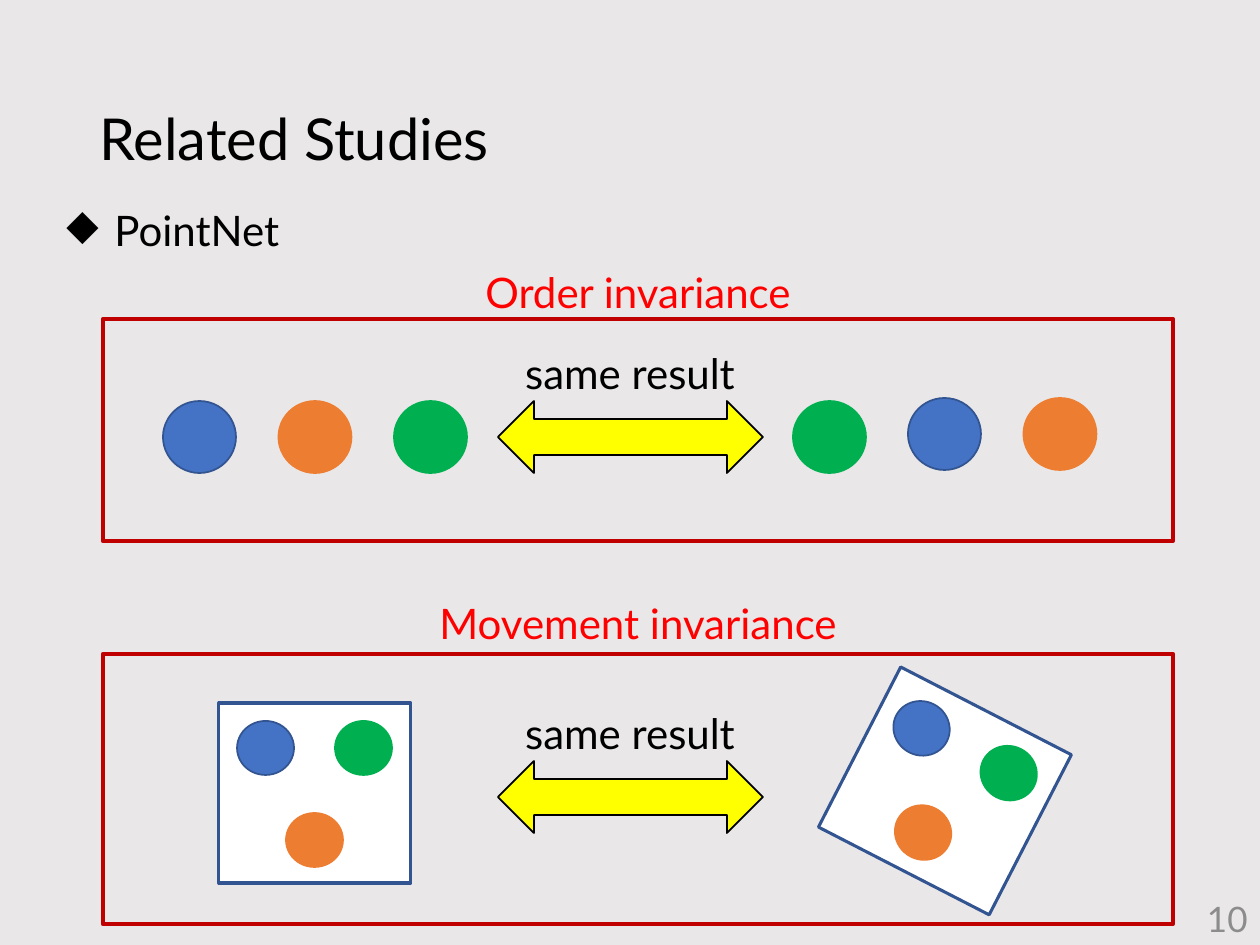
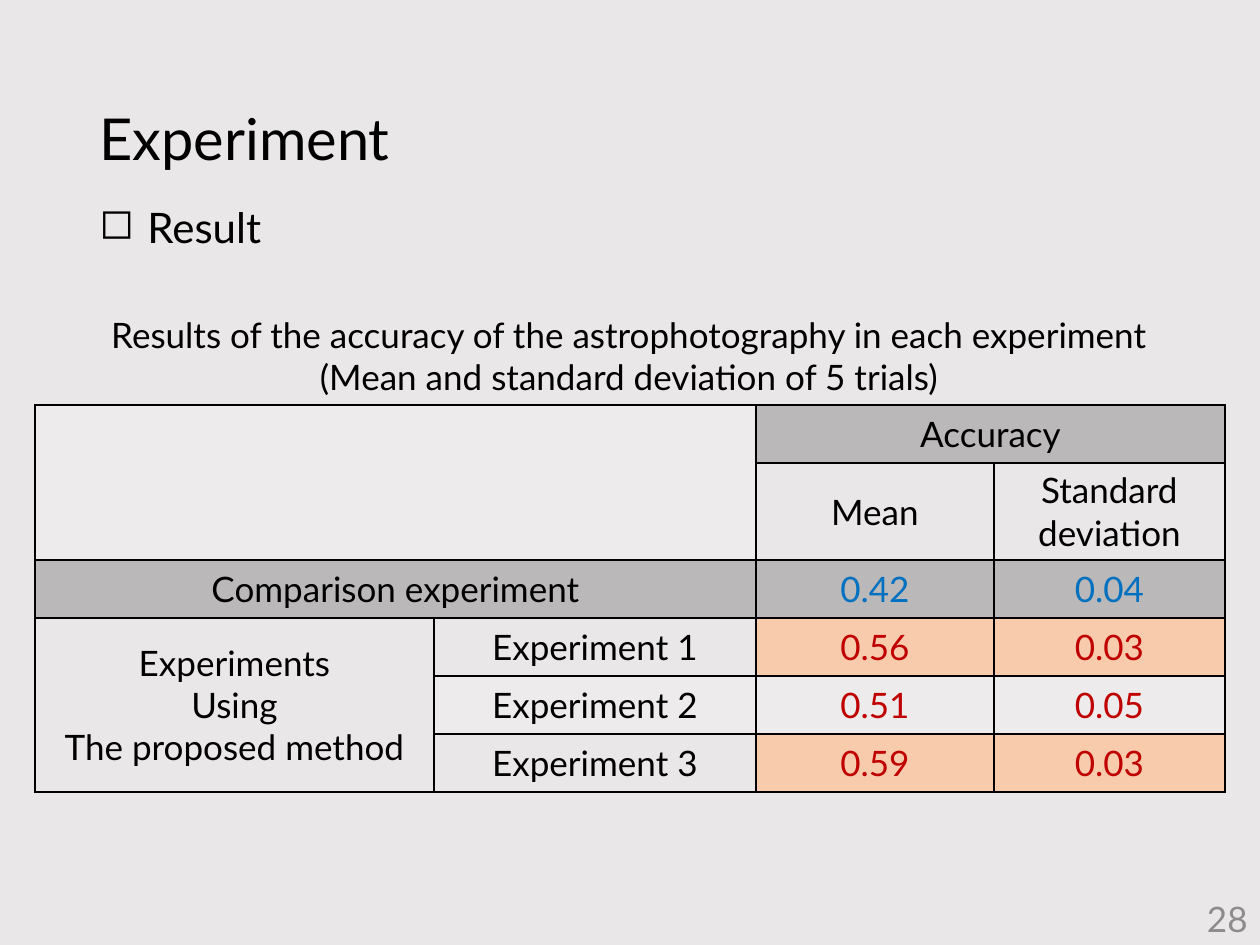
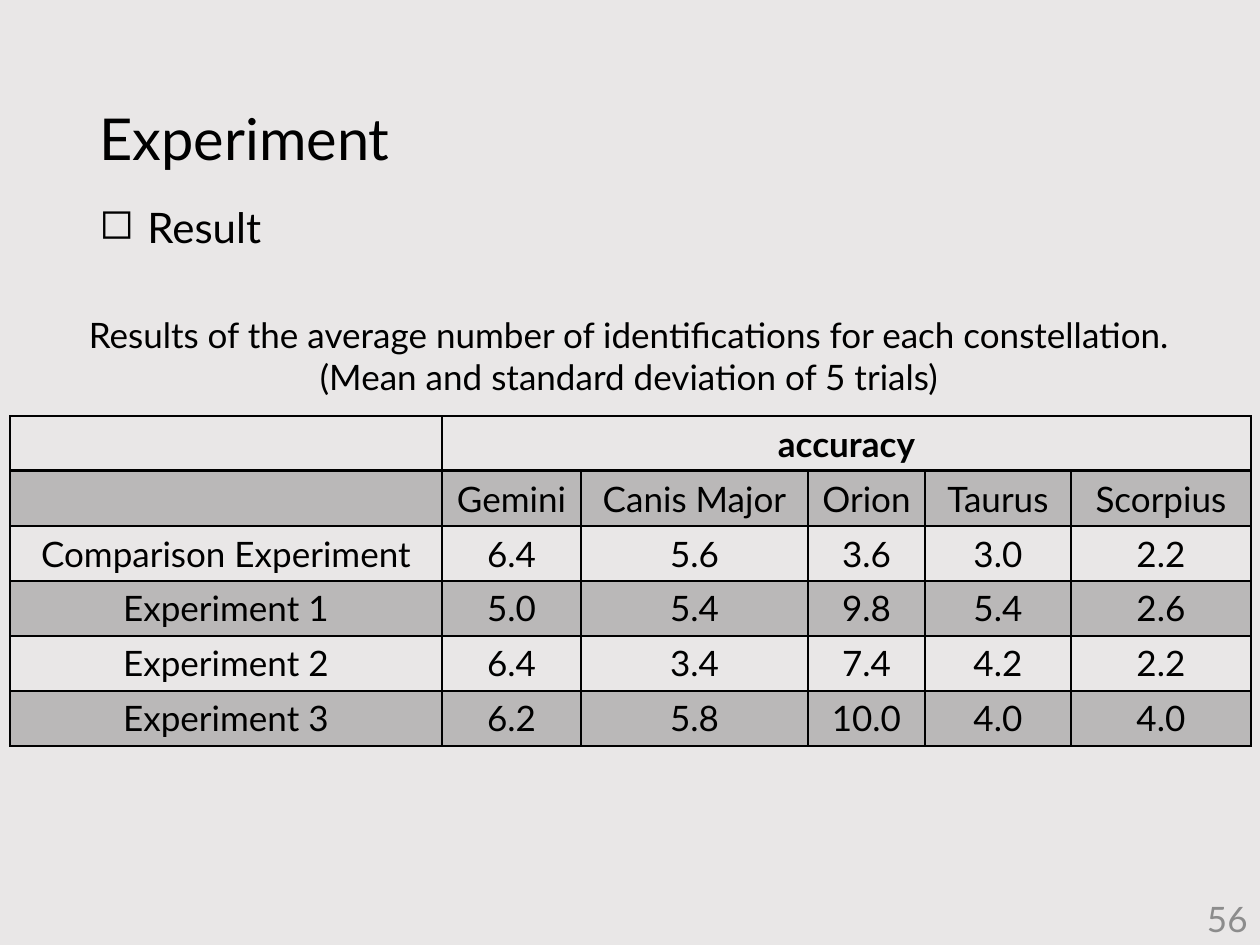
"""Builds three slides: invariance diagrams and two result tables."""
from lxml import etree
from pptx import Presentation
from pptx import util as u
from pptx.dml.color import RGBColor
from pptx.enum import shapes, text
from pptx.oxml import ns

SCALE = 914400 / 126
FONT = "Lato"
COLORS = {
    "background": "E9E7E7", "black": "000000", "white": "FFFFFF",
    "blue": "4472C4", "outline": "325491", "orange": "ED7D31",
    "green": "00B050", "yellow": "FFFF00", "frame": "C00000",
    "heading": "FF0000", "number": "8C8C8C", "baseline": "0070C0",
    "peach": "F8CBAD",
}
SHADE = ("black", 20)
TINT = ("white", 20)
PEACH = ("peach", 100)
CENTER = text.PP_ALIGN.CENTER
MIDDLE = text.MSO_ANCHOR.MIDDLE


def px(length):
    """Turn px into EMU."""
    return u.Emu(round(length * SCALE))


def rgb(name):
    """Look up a named colour."""
    return RGBColor.from_string(COLORS[name])


def write_text(frame, content, size=20, color="black", bold=False,
               align=None, spacing=None, bullet=None):
    """Write each line of the content as a formatted paragraph."""
    frame.word_wrap = True
    for index, line in enumerate(content.split("\n")):
        paragraph = frame.add_paragraph() if index else frame.paragraphs[0]
        paragraph.alignment = align
        paragraph.line_spacing = spacing
        run = paragraph.add_run()
        run.text = line
        run.font.name = FONT
        run.font.size = u.Pt(size)
        run.font.bold = bold
        run.font.color.rgb = rgb(color)
        if bullet:
            properties = paragraph._p.get_or_add_pPr()
            properties.set("marL", str(px(48)))
            properties.set("indent", str(-px(48)))
            etree.SubElement(properties, ns.qn("a:buChar")).set("char", bullet)


def add_text(container, box, content, anchor=text.MSO_ANCHOR.TOP, **style):
    """Add a text box."""
    frame = container.shapes.add_textbox(*map(px, box)).text_frame
    frame.vertical_anchor = anchor
    write_text(frame, content, **style)


def add_shape(container, kind, box, fill, line, width=1):
    """Add a preset shape with fill and outline."""
    shape = container.shapes.add_shape(kind, *map(px, box))
    shape.shadow.inherit = False
    if fill:
        shape.fill.solid()
        shape.fill.fore_color.rgb = rgb(fill)
    else:
        shape.fill.background()
    shape.line.color.rgb = rgb(line)
    shape.line.width = u.Pt(width)


def add_point(container, box, color):
    """Add one point of a point set."""
    line = "outline" if color == "blue" else color
    add_shape(container, shapes.MSO_SHAPE.OVAL, box, color, line)


def add_point_row(slide, left, top, colors):
    """Add points side by side at equal steps."""
    for index, color in enumerate(colors):
        add_point(slide, (left + 115.5 * index, top, 73, 72), color)


def add_panel(slide, left, top, rotation=0):
    """Add a white panel holding three points."""
    group = slide.shapes.add_group_shape()
    add_shape(group, shapes.MSO_SHAPE.RECTANGLE, (left, top, 192, 180),
              "white", "outline", 1.75)
    for color, x, y in (("blue", 18, 18), ("orange", 67, 110), ("green", 116, 18)):
        add_point(group, (left + x, top + y, 57, 54), color)
    group.rotation = rotation


def add_invariance(slide, box, heading, heading_width, heading_rise, arrow_drop):
    """Add a framed region with its heading and labelled double arrow."""
    left, top, width, _ = box
    add_shape(slide, shapes.MSO_SHAPE.RECTANGLE, box, None, "frame", 2.5)
    heading_left = left + (width - heading_width) / 2
    add_text(slide, (heading_left, top - heading_rise, heading_width, 63),
             heading, size=24, color="heading", align=CENTER)
    group = slide.shapes.add_group_shape()
    arrow_top = top + arrow_drop
    add_shape(group, shapes.MSO_SHAPE.LEFT_RIGHT_ARROW,
              (left + 395, arrow_top, 265, 72), "yellow", "black")
    add_text(group, (left + 343, arrow_top - 60, 368, 63), "same result",
             size=24, align=CENTER)


def set_cell_fill(cell, fill):
    """Fill a cell with a colour at a given opacity."""
    if fill is None:
        cell.fill.background()
        return
    color, opacity = fill
    cell.fill.solid()
    cell.fill.fore_color.rgb = rgb(color)
    if opacity < 100:
        node = cell._tc.tcPr.find(".//" + ns.qn("a:srgbClr"))
        etree.SubElement(node, ns.qn("a:alpha")).set("val", str(opacity * 1000))


def set_cell_borders(cell, top, bottom):
    """Draw black borders on all sides of a cell."""
    properties = cell._tc.get_or_add_tcPr()
    sides = (("lnL", 1), ("lnR", 1), ("lnT", top), ("lnB", bottom))
    for index, (side, width) in enumerate(sides):
        line = etree.Element(ns.qn("a:" + side), w=str(u.Pt(width)))
        fill = etree.SubElement(line, ns.qn("a:solidFill"))
        etree.SubElement(fill, ns.qn("a:srgbClr")).set("val", COLORS["black"])
        properties.insert(index, line)


def add_table(slide, origin, widths, heights, rows, spans, style, heavy_rule=None):
    """Add a bordered table; style gives fill and text format by row and column."""
    box = (*origin, sum(widths), sum(heights))
    table = slide.shapes.add_table(len(rows), len(widths), *map(px, box)).table
    table.first_row = table.horz_banding = False
    for column, width in zip(table.columns, widths):
        column.width = px(width)
    for row, height in zip(table.rows, heights):
        row.height = px(height)
    for r, values in enumerate(rows):
        for c, value in enumerate(values):
            cell = table.cell(r, c)
            fill, text_style = style(r, c)
            cell.vertical_anchor = MIDDLE
            set_cell_fill(cell, fill)
            set_cell_borders(cell, 2 if r == heavy_rule else 1,
                             2 if r + 1 == heavy_rule else 1)
            if value:
                write_text(cell.text_frame, value, align=CENTER, **text_style)
    for first, last in spans:
        table.cell(*first).merge(table.cell(*last))


def add_base(presentation, title, number, bullet, item, item_origin):
    """Add a slide with background, title, bullet line and page number."""
    slide = presentation.slides.add_slide(presentation.slide_layouts[6])
    slide.background.fill.solid()
    slide.background.fill.fore_color.rgb = rgb("background")
    add_text(slide, (87, 50, 1086, 183), title, anchor=MIDDLE, size=33, spacing=0.9)
    add_text(slide, (*item_origin, 1168, 63), item, size=24, bullet=bullet)
    add_text(slide, (977, 894, 283, 50), number, anchor=MIDDLE,
             color="number", align=text.PP_ALIGN.RIGHT)
    return slide


def add_result_base(presentation, number, caption):
    """Add a result slide with its two-line table caption."""
    slide = add_base(presentation, "Experiment", number, "◻", "Result", (87, 195))
    add_text(slide, (45, 307, 1168, 97),
             caption + "\n(Mean and standard deviation of 5 trials)", align=CENTER)
    return slide


def add_related_studies(presentation):
    """Add the slide on order and movement invariance."""
    slide = add_base(presentation, "Related Studies", "10", "◆", "PointNet", (54, 198))
    add_invariance(slide, (103, 319, 1070, 222), "Order invariance", 368, 59, 82)
    add_point_row(slide, 163, 401, ("blue", "orange", "green"))
    add_point_row(slide, 793, 401, ("green",))
    add_point_row(slide, 908, 398, ("blue", "orange"))
    add_invariance(slide, (103, 654, 1070, 270), "Movement invariance", 430, 63, 107)
    add_panel(slide, 219, 703)
    add_panel(slide, 849, 701, 27.2)


def accuracy_style(row, column):
    """Give fill and text format of a cell in the accuracy table."""
    color = "black"
    if column > 1 and row > 1:
        color = "baseline" if row == 2 else "frame"
    fill = None
    if row == 2 or (row == 0 and column > 1):
        fill = SHADE
    elif (row == 0 and column < 2) or (row == 4 and column > 0):
        fill = TINT
    elif row in (3, 5) and column > 1:
        fill = PEACH
    return fill, {"color": color}


def add_accuracy(presentation):
    """Add the slide with mean accuracy and deviation."""
    slide = add_result_base(
        presentation, "28",
        "Results of the accuracy of the astrophotography in each experiment")
    rows = (
        ("", "", "Accuracy", ""),
        ("", "", "Mean", "Standard\ndeviation"),
        ("Comparison experiment", "", "0.42", "0.04"),
        ("Experiments\nUsing\nThe proposed method", "Experiment 1", "0.56", "0.03"),
        ("", "Experiment 2", "0.51", "0.05"),
        ("", "Experiment 3", "0.59", "0.03"),
    )
    spans = (((0, 0), (1, 1)), ((0, 2), (0, 3)), ((2, 0), (2, 1)), ((3, 0), (5, 0)))
    add_table(slide, (35, 405), (399, 322, 238, 231), (58, 97, 58, 58, 58, 58),
              rows, spans, accuracy_style)


def constellation_style(row, column):
    """Give fill and text format of a cell in the constellation table."""
    return (SHADE if row % 2 else None), {"bold": row == 0}


def add_constellations(presentation):
    """Add the slide with identifications for each constellation."""
    slide = add_result_base(
        presentation, "56",
        "Results of the average number of identiﬁcations for each constellation.")
    rows = (
        ("", "accuracy", "", "", "", ""),
        ("", "Gemini", "Canis Major", "Orion", "Taurus", "Scorpius"),
        ("Comparison Experiment", "6.4", "5.6", "3.6", "3.0", "2.2"),
        ("Experiment 1", "5.0", "5.4", "9.8", "5.4", "2.6"),
        ("Experiment 2", "6.4", "3.4", "7.4", "4.2", "2.2"),
        ("Experiment 3", "6.2", "5.8", "10.0", "4.0", "4.0"),
    )
    add_table(slide, (10, 416), (432, 139, 227, 117, 146, 180), [55] * 6,
              rows, (((0, 1), (0, 5)),), constellation_style, heavy_rule=1)


def main():
    """Build and save the presentation."""
    presentation = Presentation()
    presentation.slide_width = px(1260)
    presentation.slide_height = px(945)
    add_related_studies(presentation)
    add_accuracy(presentation)
    add_constellations(presentation)
    presentation.save("out.pptx")


if __name__ == "__main__":
    main()
